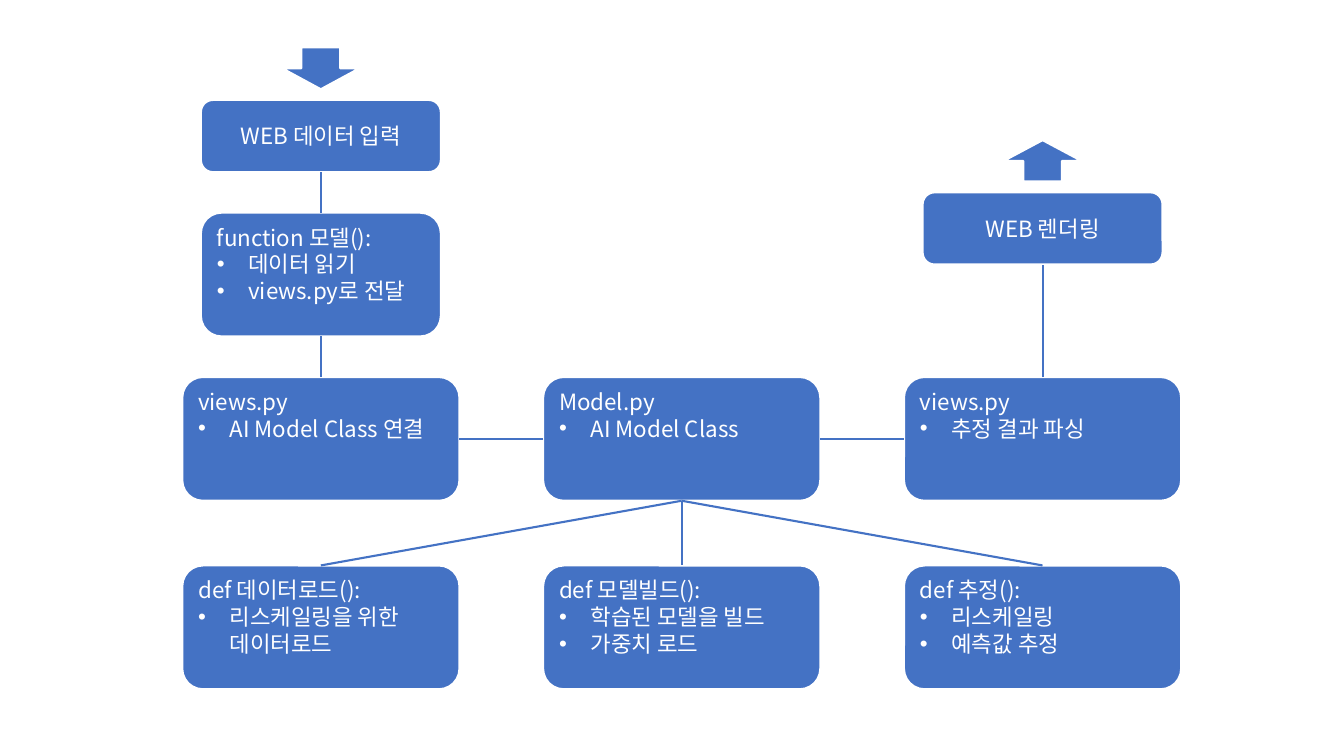
"""Builds a slide with the flow of a web AI model from data input to rendering."""
from pptx import Presentation
from pptx.dml.color import RGBColor
from pptx.enum.shapes import MSO_CONNECTOR, MSO_SHAPE
from pptx.enum.text import MSO_ANCHOR, PP_ALIGN
from pptx.oxml.ns import qn
from pptx.util import Pt
from lxml.etree import SubElement

COLORS = {"blue": "4472C4", "white": "FFFFFF"}
FONT = "Noto Sans CJK KR"
LEFT, MIDDLE, RIGHT = (229.2 + 257.75 * i for i in range(3))
TOP, LEFT_SIDE, BOTTOM, RIGHT_SIDE = range(4)
CALL_ROW, DEF_ROW = 269.3, 403.9


def rgb(name):
    return RGBColor.from_string(COLORS[name])


def add_block(slide, kind, center, top, width, height):
    sp = slide.shapes.add_shape(
        kind, Pt(center - width / 2), Pt(top), Pt(width), Pt(height))
    sp.shadow.inherit = False
    sp.fill.solid()
    sp.fill.fore_color.rgb = rgb("blue")
    sp.line.color.rgb = rgb("white")
    sp.line.width = Pt(1.5)
    return sp


def add_text(p, text, size=16, color="white", align=PP_ALIGN.LEFT, bullet=False):
    p.alignment = align
    r = p.add_run()
    r.text = text
    r.font.size = Pt(size)
    r.font.color.rgb = rgb(color)
    r.font.name = FONT
    SubElement(r._r.get_or_add_rPr(), qn("a:ea"), typeface=FONT)
    if bullet:
        pPr = p._p.get_or_add_pPr()
        pPr.set("marL", str(Pt(22.5)))
        pPr.set("indent", str(Pt(-22.5)))
        SubElement(pPr, qn("a:buFont"), typeface="Arial")
        SubElement(pPr, qn("a:buChar"), char="•")


def add_web_box(slide, center, top, text):
    sp = add_block(slide, MSO_SHAPE.ROUNDED_RECTANGLE, center, top, 171.4, 51.6)
    tf = sp.text_frame
    tf.vertical_anchor = MSO_ANCHOR.MIDDLE
    add_text(tf.paragraphs[0], text, align=PP_ALIGN.CENTER)
    return sp


def add_code_box(slide, center, top, title, *items, width=198):
    sp = add_block(slide, MSO_SHAPE.ROUNDED_RECTANGLE, center, top, width, 88.4)
    tf = sp.text_frame
    tf.vertical_anchor = MSO_ANCHOR.TOP
    add_text(tf.paragraphs[0], title)
    for item in items:
        add_text(tf.add_paragraph(), item, bullet=True)
    return sp


def add_link(slide, start, start_site, end, end_site):
    cxn = slide.shapes.add_connector(MSO_CONNECTOR.STRAIGHT, 0, 0, 0, 0)
    cxn.begin_connect(start, start_site)
    cxn.end_connect(end, end_site)
    cxn.line.color.rgb = rgb("blue")
    cxn.line.width = Pt(1.5)
    SubElement(cxn._element.spPr, qn("a:effectLst"))


def main():
    prs = Presentation()
    prs.slide_width, prs.slide_height = Pt(960), Pt(540)
    slide = prs.slides.add_slide(prs.slide_layouts[6])

    add_block(slide, MSO_SHAPE.DOWN_ARROW, LEFT, 33.8, 55.4, 30)
    up = add_block(slide, MSO_SHAPE.DOWN_ARROW, RIGHT, 100.1, 55.4, 29.5)
    up.rotation = 180

    web_input = add_web_box(slide, LEFT, 71.4, "WEB 데이터 입력")
    rendering = add_web_box(slide, RIGHT, 137.4, "WEB 렌더링")
    function = add_code_box(slide, LEFT, 151.9, "function 모델():",
                            "데이터 읽기", "views.py로 전달", width=171.4)
    views_in = add_code_box(slide, LEFT, CALL_ROW, "views.py", "AI Model Class 연결")
    model = add_code_box(slide, MIDDLE, CALL_ROW, "Model.py", "AI Model Class")
    views_out = add_code_box(slide, RIGHT, CALL_ROW, "views.py", "추정 결과 파싱")
    methods = [
        add_code_box(slide, LEFT, DEF_ROW, "def 데이터로드():", "리스케일링을 위한 데이터로드"),
        add_code_box(slide, MIDDLE, DEF_ROW, "def 모델빌드():",
                     "학습된 모델을 빌드", "가중치 로드"),
        add_code_box(slide, RIGHT, DEF_ROW, "def 추정():", "리스케일링", "예측값 추정"),
    ]

    add_link(slide, web_input, BOTTOM, function, TOP)
    add_link(slide, views_in, TOP, function, BOTTOM)
    add_link(slide, model, LEFT_SIDE, views_in, RIGHT_SIDE)
    add_link(slide, views_out, LEFT_SIDE, model, RIGHT_SIDE)
    add_link(slide, views_out, TOP, rendering, BOTTOM)
    for method in methods:
        add_link(slide, model, BOTTOM, method, TOP)

    prs.save("out.pptx")


if __name__ == "__main__":
    main()
